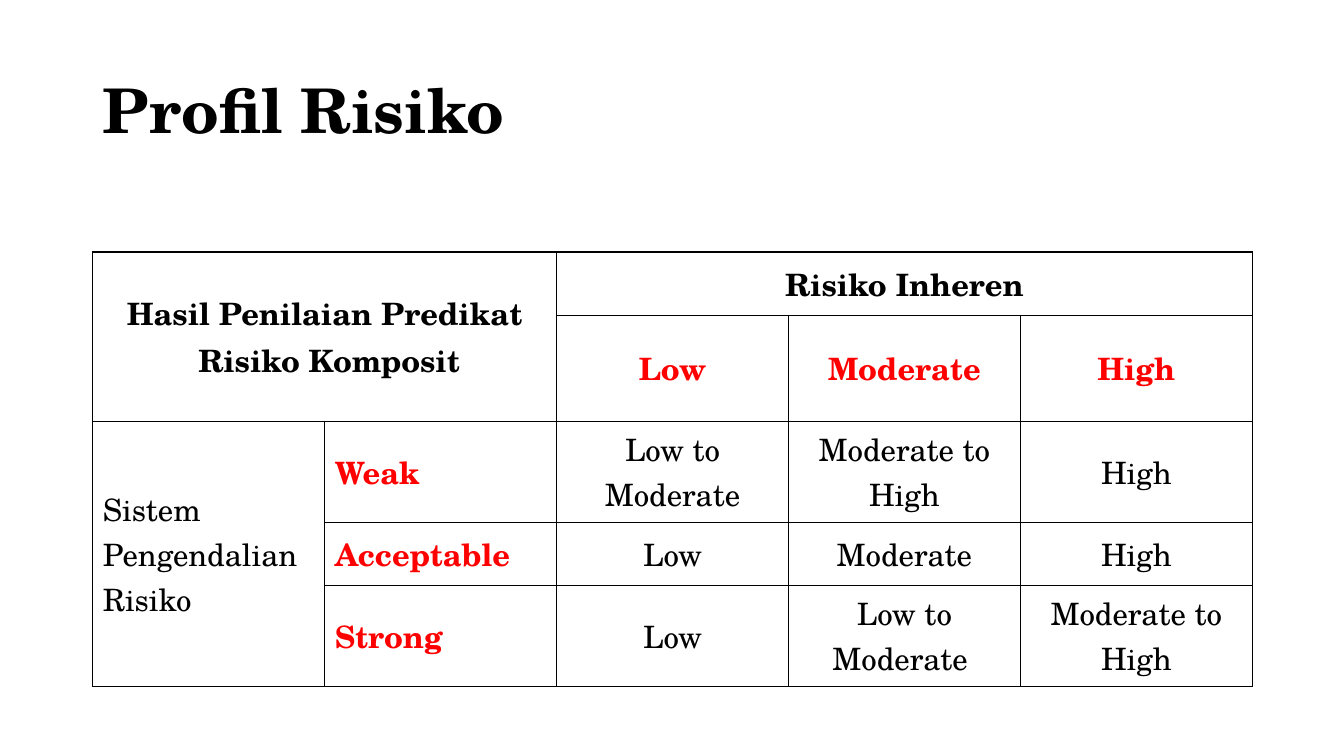
from lxml import etree
from pptx import Presentation
from pptx.dml.color import RGBColor
from pptx.enum import text
from pptx.oxml import ns
from pptx.util import Inches, Pt

FONT = "TeX Gyre Schola"
COLORS = {"ink": "000000", "level": "FF0000"}
ROWS = [
    ["Hasil Penilaian Predikat\n Risiko Komposit", "", "Risiko Inheren", "", ""],
    ["", "", "Low", "Moderate", "High"],
    ["Sistem Pengendalian Risiko", "Weak", "Low to Moderate", "Moderate to High", "High"],
    ["", "Acceptable", "Low", "Moderate", "High"],
    ["", "Strong", "Low", "Low to Moderate ", "Moderate to High"],
]
HEIGHTS = [0.63, 1.05, 1, 0.63, 1]
MERGES = [((0, 0), (1, 1)), ((0, 2), (0, 4)), ((2, 0), (4, 0))]


def style(para, size, color, bold):
    for run in para.runs:
        font = run.font
        font.name, font.size, font.bold = FONT, Pt(size), bold
        font.color.rgb = RGBColor.from_string(COLORS[color])


def outline(cell):
    props = cell._tc.get_or_add_tcPr()
    for spot, side in enumerate(("lnL", "lnR", "lnT", "lnB")):
        line = etree.Element(ns.qn("a:" + side), w=str(Pt(1)))
        fill = etree.SubElement(line, ns.qn("a:solidFill"))
        etree.SubElement(fill, ns.qn("a:srgbClr"), val=COLORS["ink"])
        props.insert(spot, line)


def add_title(slide, left, top, width, height):
    title = slide.shapes.title
    title.left, title.top = Inches(left), Inches(top)
    title.width, title.height = Inches(width), Inches(height)
    frame = title.text_frame
    frame.text = "Profil Risiko"
    frame.word_wrap = True
    frame.vertical_anchor = text.MSO_ANCHOR.MIDDLE
    para = frame.paragraphs[0]
    para.alignment = text.PP_ALIGN.LEFT
    para.line_spacing = 0.9
    style(para, 44, "ink", True)


def fill_cell(cell, words, row, col):
    cell.fill.background()
    outline(cell)
    cell.vertical_anchor = text.MSO_ANCHOR.MIDDLE
    cell.text_frame.text = words
    level = row == 1 or (row > 1 and col == 1)
    side = row > 1 and col < 2
    for para in cell.text_frame.paragraphs:
        para.alignment = text.PP_ALIGN.LEFT if side else text.PP_ALIGN.CENTER
        style(para, 22, "level" if level else "ink", level or row == 0)


def add_matrix(slide, left, top, width):
    count = len(ROWS[0])
    frame = slide.shapes.add_table(
        len(ROWS), count, Inches(left), Inches(top),
        Inches(width), Inches(sum(HEIGHTS)))
    table = frame.table
    for col in table.columns:
        col.width = Inches(width / count)
    for row, height in zip(table.rows, HEIGHTS):
        row.height = Inches(height)
    for start, end in MERGES:
        table.cell(*start).merge(table.cell(*end))
    for row, line in enumerate(ROWS):
        for col, words in enumerate(line):
            fill_cell(table.cell(row, col), words, row, col)


def main():
    deck = Presentation()
    deck.slide_width, deck.slide_height = Inches(13.33), Inches(7.5)
    slide = deck.slides.add_slide(deck.slide_layouts[5])
    add_title(slide, 0.92, 0.4, 11.5, 1.45)
    add_matrix(slide, 0.92, 2.5, 11.5)
    deck.save("out.pptx")


if __name__ == "__main__":
    main()
